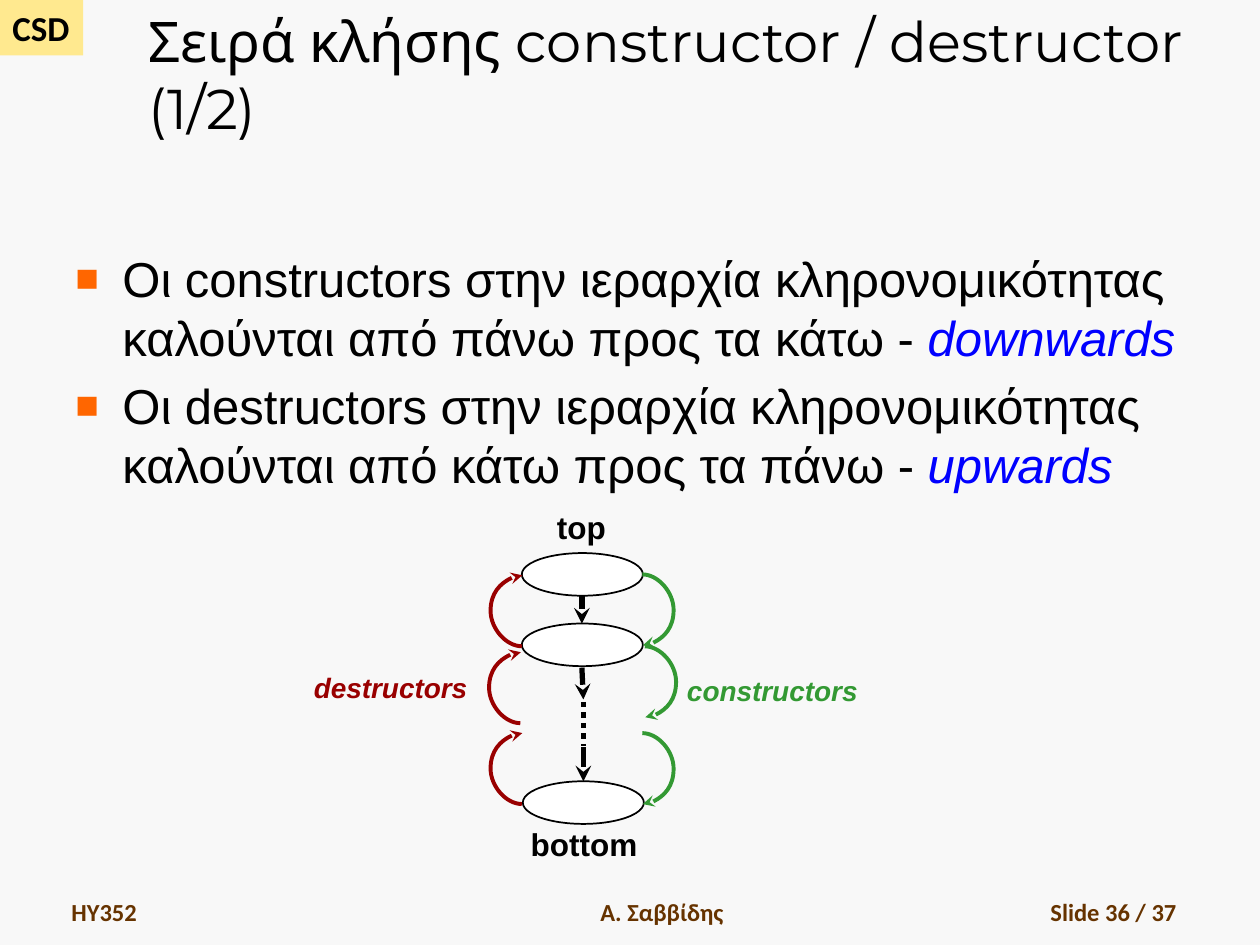
from typing import NamedTuple
from lxml import etree
from pptx import Presentation
from pptx.dml.color import RGBColor
from pptx.enum import dml, shapes, text
from pptx.oxml import parse_xml
from pptx.oxml.ns import nsdecls, qn
from pptx.util import Cm, Pt

BLACK = RGBColor(0, 0, 0)
WHITE = RGBColor(255, 255, 255)
PAPER = RGBColor(0xF8, 0xF8, 0xF8)
CREAM = RGBColor(0xFF, 0xE9, 0x8F)
BROWN = RGBColor(0x66, 0x33, 0)
BLUE = RGBColor(0, 0, 255)
GREEN = RGBColor(0x33, 0x99, 0x33)
RED = RGBColor(0x99, 0, 0)
LEFT, MID, RIGHT = (text.PP_ALIGN.LEFT, text.PP_ALIGN.CENTER, text.PP_ALIGN.RIGHT)
TOP, LOW = text.MSO_ANCHOR.TOP, text.MSO_ANCHOR.BOTTOM


class Font(NamedTuple):
    name: str
    size: int
    color: RGBColor = BLACK
    bold: bool = False
    slant: bool = False


class Label(NamedTuple):
    words: str
    box: tuple
    font: Font
    align: int = MID
    anchor: int = TOP
    wrap: bool = False


class Arrow(NamedTuple):
    start: tuple
    end: tuple
    color: RGBColor = BLACK
    width: float = 3
    bulge: int = 0
    dots: bool = False


deck = Presentation()
deck.slide_width, deck.slide_height = Cm(25.4), Cm(19.05)
slide = deck.slides.add_slide(deck.slide_layouts[6])
slide.background.fill.solid()
slide.background.fill.fore_color.rgb = PAPER


def add_run(para, words: str, font: Font) -> None:
    run = para.add_run()
    run.text = words
    run.font.name, run.font.size = font.name, Pt(font.size)
    run.font.bold, run.font.italic = font.bold, font.slant
    run.font.color.rgb = font.color


def add_frame(box: tuple, anchor: int = TOP, wrap: bool = True):
    frame = slide.shapes.add_textbox(*map(Cm, box)).text_frame
    frame.word_wrap, frame.vertical_anchor = wrap, anchor
    return frame


def add_label(label: Label) -> None:
    para = add_frame(label.box, label.anchor, label.wrap).paragraphs[0]
    para.alignment = label.align
    add_run(para, label.words, label.font)


def add_plain(kind: int, box: tuple, fill: RGBColor, edge: bool):
    shape = slide.shapes.add_shape(kind, *map(Cm, box))
    shape.shadow.inherit = False
    shape.fill.solid()
    shape.fill.fore_color.rgb = fill
    if edge:
        shape.line.color.rgb, shape.line.width = BLACK, Pt(1)
    else:
        shape.line.fill.background()
    return shape


def add_arrow(arrow: Arrow) -> None:
    kind = shapes.MSO_CONNECTOR.CURVE if arrow.bulge else shapes.MSO_CONNECTOR.STRAIGHT
    link = slide.shapes.add_connector(kind, *map(Cm, arrow.start + arrow.end))
    link.line.color.rgb, link.line.width = arrow.color, Pt(arrow.width)
    props = link._element.spPr
    if arrow.bulge:
        # The bend is a share of the width, so a thin link needs a big one
        link.width = Cm(0.01)
        geom = props.find(qn("a:prstGeom"))
        guides = geom.find(qn("a:avLst"))
        if guides is None:
            guides = etree.SubElement(geom, qn("a:avLst"))
        share = int(arrow.bulge * Cm(0.63) / link.width * 100000)
        etree.SubElement(guides, qn("a:gd"), name="adj1", fmla=f"val {share}")
    if arrow.dots:
        link.line.dash_style = dml.MSO_LINE.ROUND_DOT
    else:
        etree.SubElement(link.line._get_or_add_ln(), qn("a:tailEnd"), type="stealth")
    etree.SubElement(props, qn("a:effectLst"))


def add_point(para, words: str, key: str) -> None:
    para.space_before = Pt(5.6)
    props = para._p.get_or_add_pPr()
    props.set("marL", str(Cm(0.95)))
    props.set("indent", str(-Cm(0.95)))
    for xml in ('<a:buClr {}><a:srgbClr val="FF6600"/></a:buClr>',
                '<a:buSzPct {} val="80000"/>',
                '<a:buFont {} typeface="Arial"/>',
                '<a:buChar {} char="■"/>'):
        props.append(parse_xml(xml.format(nsdecls("a"))))
    add_run(para, words, Font("Arial", 28))
    add_run(para, key, Font("Arial", 28, BLUE, slant=True))


# Corner tag
tag = add_plain(shapes.MSO_SHAPE.RECTANGLE, (0, 0, 1.68, 1.12), CREAM, False)
tag.text_frame.word_wrap = False
tag.text_frame.paragraphs[0].alignment = LEFT
add_run(tag.text_frame.paragraphs[0], "CSD", Font("Calibri", 20, bold=True))

# Title and footer
foot = Font("Calibri", 14, BROWN, True)
for label in (
    Label("Σειρά κλήσης constructor / destructor (1/2)", (2.74, 0.43, 22.66, 2.54),
          Font("Montserrat", 32), LEFT, LOW, True),
    Label("HY352", (1.19, 17.53, 5.56, 1.27), foot, LEFT, LOW, True),
    Label("Α. Σαββίδης", (9.32, 17.53, 8.05, 1.27), foot, MID, LOW, True),
    Label("Slide 36 / 37", (18.69, 17.53, 5.28, 1.27), foot, RIGHT, LOW, True),
):
    add_label(label)

# Bullet points
body = add_frame((1.27, 4.88, 23.06, 12.27))
add_point(body.paragraphs[0], "Οι constructors στην ιεραρχία κληρονομικότητας "
          "καλούνται από πάνω προς τα κάτω - ", "downwards")
add_point(body.add_paragraph(), "Οι destructors στην ιεραρχία κληρονομικότητας "
          "καλούνται από κάτω προς τα πάνω - ", "upwards")

# Class chain
for x, y in ((10.52, 11.15), (10.52, 12.57), (10.54, 15.75)):
    add_plain(shapes.MSO_SHAPE.OVAL, (x, y, 2.44, 0.86), WHITE, True)
for arrow in (
    Arrow((11.73, 12.01), (11.73, 12.57)),
    Arrow((11.73, 13.46), (11.76, 14.1)),
    Arrow((11.76, 14.15), (11.76, 15.04), dots=True),
    Arrow((11.76, 15.06), (11.76, 15.75)),
):
    add_arrow(arrow)

# Call order: constructors go down, destructors go up
SPAN = 1.43
for x, y in ((12.95, 11.58), (13, 13.03), (12.95, 14.78)):
    add_arrow(Arrow((x, y), (x, y + SPAN), GREEN, 2.25, 1))
for x, y in ((10.52, 13.03), (10.49, 14.58), (10.52, 16.21)):
    add_arrow(Arrow((x, y), (x, y - SPAN), RED, 2.25, -1))

# Diagram labels
for label in (
    Label("constructors", (13.59, 13.46, 3.96, 0.94), Font("Arial", 16, GREEN, True, True)),
    Label("destructors", (6.07, 13.39, 3.61, 0.94), Font("Arial", 16, RED, True, True)),
    Label("top", (10.97, 10.11, 1.5, 1.02), Font("Arial", 18, bold=True)),
    Label("bottom", (10.44, 16.51, 2.67, 1.02), Font("Arial", 18, bold=True)),
):
    add_label(label)

deck.save("out.pptx")
